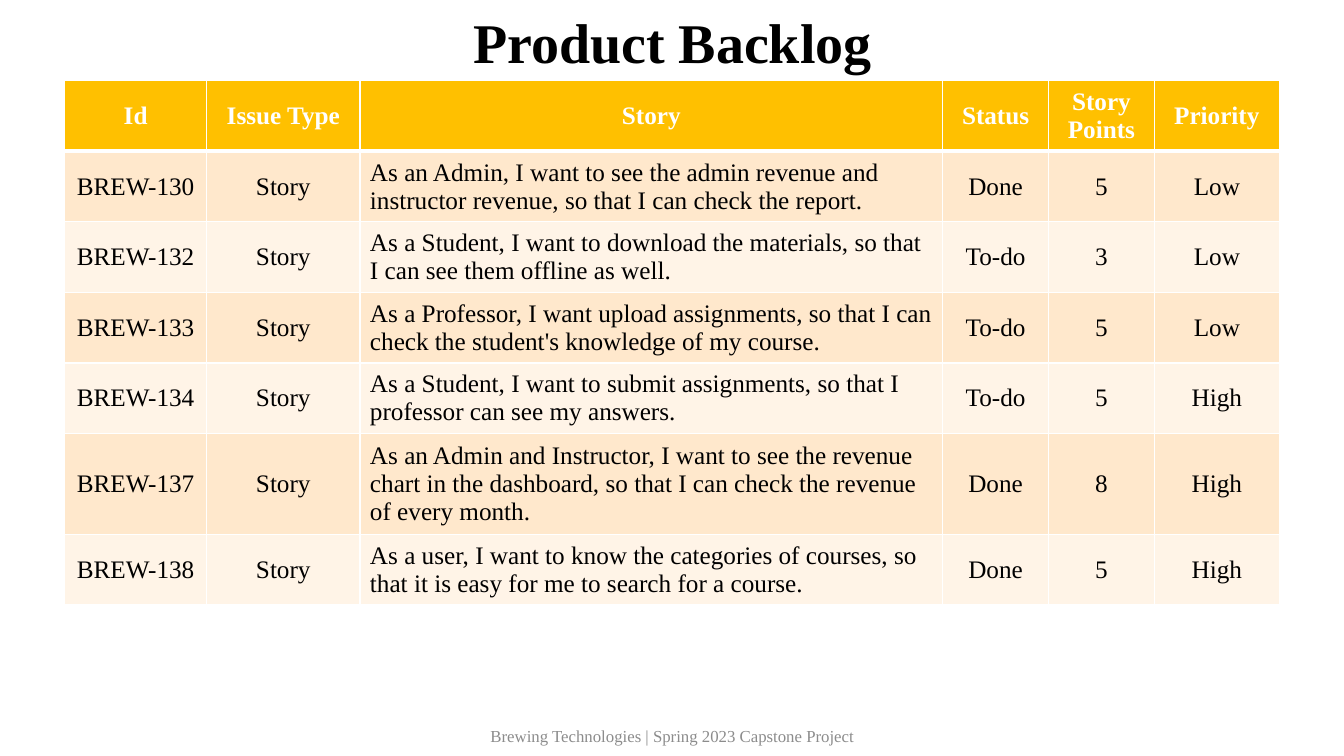
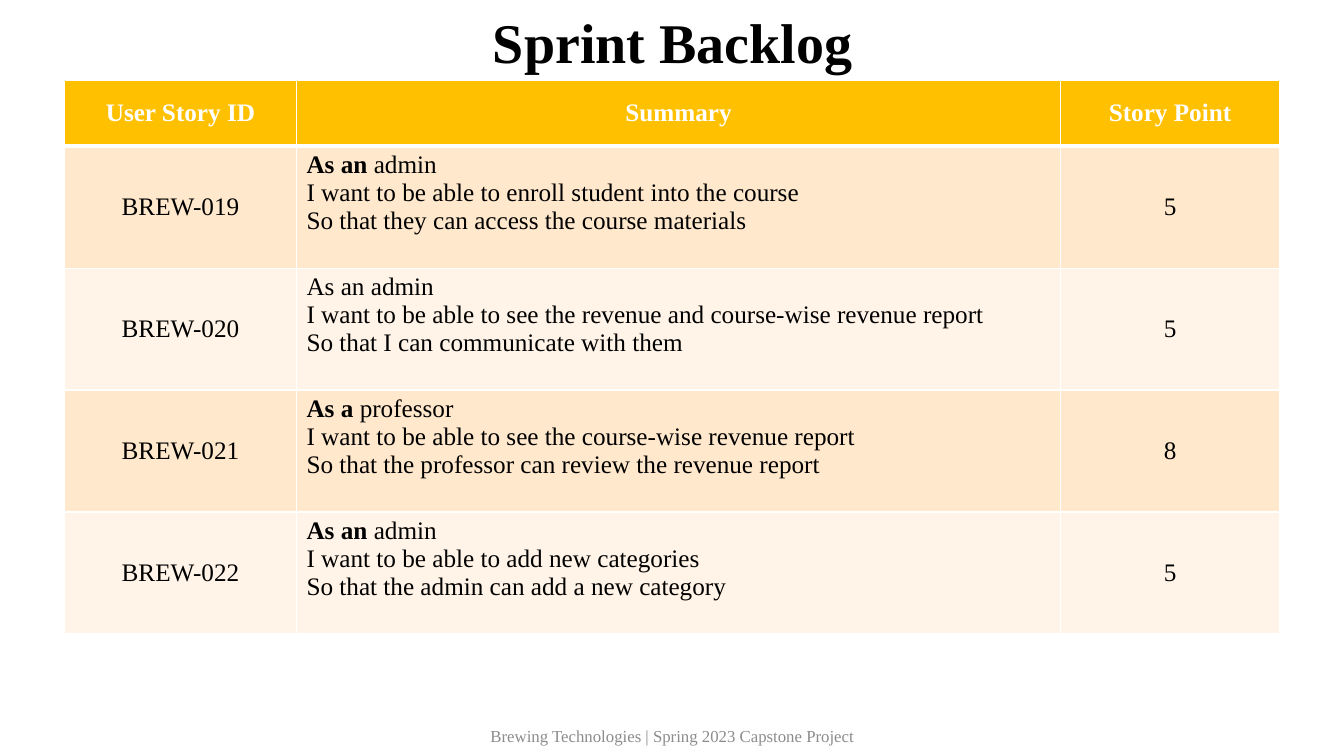
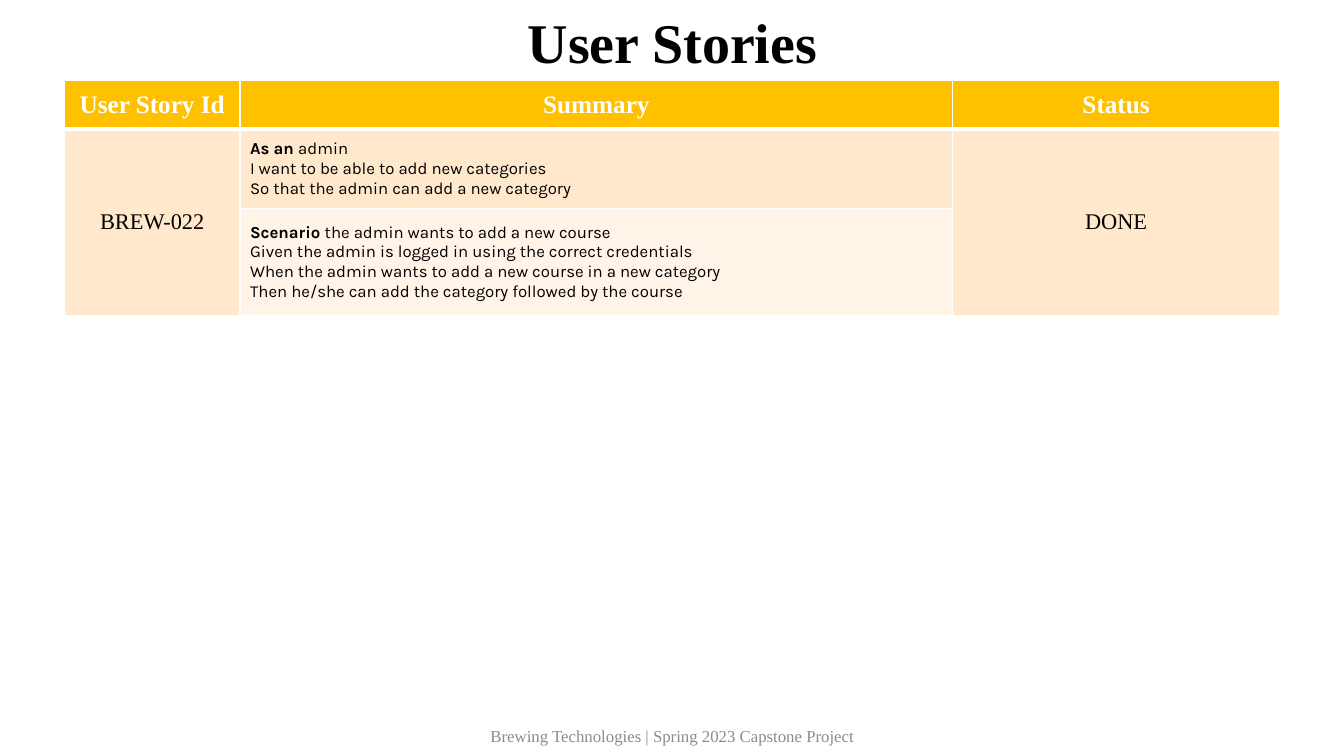
"""Build three backlog slides that share a title, a table style and a footer."""
import pptx
import pptx.dml.color
import pptx.enum.text
import pptx.oxml
import pptx.oxml.ns
import pptx.util

Inches = pptx.util.Inches
Pt = pptx.util.Pt
Color = pptx.dml.color.RGBColor
Align = pptx.enum.text.PP_ALIGN
Anchor = pptx.enum.text.MSO_ANCHOR

BLACK = Color(0x00, 0x00, 0x00)
WHITE = Color(0xFF, 0xFF, 0xFF)
GRAY = Color(0x8C, 0x8C, 0x8C)
GOLD = Color(0xFF, 0xC0, 0x00)
BANDS = (Color(0xFF, 0xE8, 0xCC), Color(0xFF, 0xF4, 0xE7))

SERIF = "Times New Roman"
TITLE = (0.92, 0.1, 11.5, 0.7)
FOOT = (4.42, 7.1, 4.5, 0.4)
LEFT, TOP = 0.64, 0.8
CREDIT = "Brewing Technologies | Spring 2023 Capstone Project"


def write(frame, text, size=18, font=SERIF, color=BLACK, bold=False,
          align=Align.CENTER, space=None):
    """Fill a frame with lines; a line given as a pair has a bold lead."""
    lines = [text] if isinstance(text, str) else text
    for spot, line in enumerate(lines):
        para = frame.add_paragraph() if spot else frame.paragraphs[0]
        para.alignment = align
        if space:
            para.line_spacing = space
        parts = [(line, bold)] if isinstance(line, str) else zip(line, (True, False))
        for words, heavy in parts:
            run = para.add_run()
            run.text = words
            run.font.name = font
            run.font.size = Pt(size)
            run.font.bold = heavy
            run.font.color.rgb = color


def label(slide, box, text, **form):
    """Place centred text in a box."""
    frame = slide.shapes.add_textbox(*map(Inches, box)).text_frame
    frame.word_wrap = True
    frame.vertical_anchor = Anchor.MIDDLE
    write(frame, text, **form)


def edge(cell, top, base):
    """Give a cell white borders, with the top and base widths in points."""
    props = cell._tc.get_or_add_tcPr()
    for side, width in (("L", 1), ("R", 1), ("T", top), ("B", base)):
        props.append(pptx.oxml.parse_xml(
            f'<a:ln{side} {pptx.oxml.ns.nsdecls("a")} w="{Pt(width)}">'
            f'<a:solidFill><a:srgbClr val="{WHITE}"/></a:solidFill></a:ln{side}>'))


def grid(slide, left, top, cols, highs, rows, prose, plain=None, story=None,
         anchor=Anchor.MIDDLE):
    """Draw a banded table; None in a row joins the cell to the one above."""
    box = map(Inches, (left, top, sum(cols), sum(highs)))
    table = slide.shapes.add_table(len(rows), len(cols), *box).table
    for col, width in zip(table.columns, cols):
        col.width = Inches(width)
    for row, high in zip(table.rows, highs):
        row.height = Inches(high)
    for down, row in enumerate(rows):
        for over, text in enumerate(row):
            cell = table.cell(down, over)
            edge(cell, 3 if down == 1 else 1, 1 if down else 3)
            cell.fill.solid()
            cell.fill.fore_color.rgb = BANDS[(down - 1) % 2] if down else GOLD
            cell.vertical_anchor = Anchor.MIDDLE
            if text is None:
                table.cell(down - 1, over).merge(cell)
            elif not down:
                write(cell.text_frame, text, color=WHITE, bold=True)
            elif over == prose:
                cell.vertical_anchor = anchor
                write(cell.text_frame, text, align=Align.LEFT, **(story or {}))
            else:
                write(cell.text_frame, text, **(plain or {}))


def page(deck, title, **parts):
    """Add a slide with its title, table and footer."""
    slide = deck.slides.add_slide(deck.slide_layouts[6])
    label(slide, TITLE, title, size=40, bold=True, space=0.9)
    grid(slide, LEFT, TOP, **parts)
    label(slide, FOOT, CREDIT, size=12, color=GRAY)


PRODUCT = [
    ("Id", "Issue Type", "Story", "Status", "Story Points", "Priority"),
    ("BREW-130", "Story", "As an Admin, I want to see the admin revenue and instructor "
     "revenue, so that I can check the report.", "Done", "5", "Low"),
    ("BREW-132", "Story", "As a Student, I want to download the materials, so that I can "
     "see them offline as well.", "To-do", "3", "Low"),
    ("BREW-133", "Story", "As a Professor, I want upload assignments, so that I can check "
     "the student's knowledge of my course.", "To-do", "5", "Low"),
    ("BREW-134", "Story", "As a Student, I want to submit assignments, so that I professor "
     "can see my answers.", "To-do", "5", "High"),
    ("BREW-137", "Story", "As an Admin and Instructor, I want to see the revenue chart in "
     "the dashboard, so that I can check the revenue of every month.", "Done", "8", "High"),
    ("BREW-138", "Story", "As a user, I want to know the categories of courses, so that it "
     "is easy for me to search for a course.", "Done", "5", "High"),
]

NEW = (("As an ", "admin"), "I want to be able to add new categories",
       "So that the admin can add a new category")

SPRINT = [
    ("User Story ID", "Summary", "Story Point"),
    ("BREW-019", (("As an ", "admin"),
                  "I want to be able to enroll student into the course",
                  "So that they can access the course materials"), "5"),
    ("BREW-020", ("As an admin",
                  "I want to be able to see the revenue and course-wise revenue report",
                  "So that I can communicate with them"), "5"),
    ("BREW-021", (("As a ", "professor"),
                  "I want to be able to see the course-wise revenue report",
                  "So that the professor can review the revenue report"), "8"),
    ("BREW-022", NEW, "5"),
]

STORIES = [
    ("User Story Id", "Summary", "Status"),
    ("BREW-022", NEW, "DONE"),
    (None, (("Scenario ", "the admin wants to add a new course"),
            "Given the admin is logged in using the correct credentials",
            "When the admin wants to add a new course in a new category",
            "Then he/she can add the category followed by the course"), None),
]


def main():
    """Build and save the deck."""
    deck = pptx.Presentation()
    deck.slide_width, deck.slide_height = Inches(13.33), Inches(7.5)
    page(deck, "Product Backlog", rows=PRODUCT, prose=2,
         cols=(1.41, 1.52, 5.78, 1.05, 1.05, 1.24),
         highs=(0.67, 0.7, 0.7, 0.7, 0.7, 1, 0.7))
    page(deck, "Sprint Backlog", rows=SPRINT, prose=1, anchor=Anchor.TOP,
         cols=(2.3, 7.58, 2.17), highs=[0.65] + [1.21] * 4)
    page(deck, "User Stories", rows=STORIES, prose=1,
         cols=(1.74, 7.07, 3.24), highs=(0.48, 0.79, 1.06),
         plain={"size": 16}, story={"size": 12, "font": "Karla"})
    deck.save("out.pptx")


if __name__ == "__main__":
    main()
